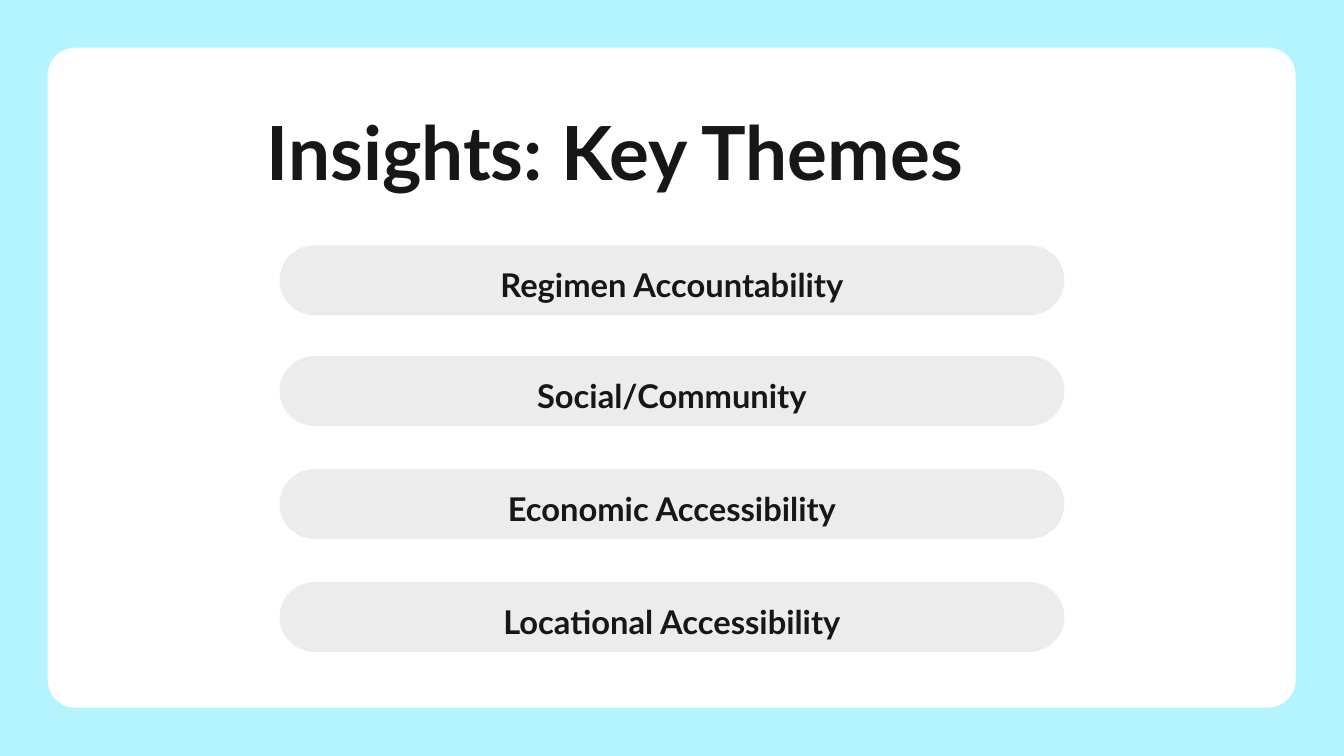
from dataclasses import dataclass

import pptx
import pptx.dml.color
import pptx.enum.shapes
import pptx.enum.text
import pptx.util

Inches = pptx.util.Inches
MSO_ANCHOR = pptx.enum.text.MSO_ANCHOR
PP_ALIGN = pptx.enum.text.PP_ALIGN

BACKGROUND, CARD, PILL, INK = "B3F4FF", "FFFFFF", "EDECED", "171717"
FONT = "Lato"


@dataclass
class Theme:
    label: str
    top: float


THEMES = [
    Theme("Regimen Accountability", 3.65),
    Theme("Social/Community", 5.3),
    Theme("Economic Accessibility", 6.98),
    Theme("Locational Accessibility", 8.66),
]


def set_fill(fill, color: str) -> None:
    fill.solid()
    fill.fore_color.rgb = pptx.dml.color.RGBColor.from_string(color)


def add_rounded(slide, left: float, top: float, width: float, height: float,
                radius: float, color: str):
    sp = slide.shapes.add_shape(
        pptx.enum.shapes.MSO_SHAPE.ROUNDED_RECTANGLE,
        Inches(left), Inches(top), Inches(width), Inches(height))
    sp.adjustments[0] = radius / min(width, height)
    sp.shadow.inherit = False
    sp.line.fill.background()
    set_fill(sp.fill, color)
    return sp


def write(sp, text: str, size: float, align, top_inset: float = 0) -> None:
    tf = sp.text_frame
    tf.word_wrap = True
    tf.auto_size = pptx.enum.text.MSO_AUTO_SIZE.NONE
    tf.vertical_anchor = MSO_ANCHOR.TOP
    tf.margin_left = tf.margin_right = tf.margin_bottom = 0
    tf.margin_top = Inches(top_inset)
    p = tf.paragraphs[0]
    p.text = text
    p.alignment = align
    p.font.name = FONT
    p.font.size = pptx.util.Pt(size)
    p.font.bold = True
    set_fill(p.font.fill, INK)


def add_theme(slide, theme: Theme) -> None:
    sp = add_rounded(slide, 4.16, theme.top, 11.68, 1.04, 0.52, PILL)
    write(sp, theme.label, 35, PP_ALIGN.CENTER, top_inset=0.14)


def main() -> None:
    prs = pptx.Presentation()
    prs.slide_width, prs.slide_height = Inches(20), Inches(11.25)
    slide = prs.slides.add_slide(prs.slide_layouts[5])
    set_fill(slide.background.fill, BACKGROUND)

    # White card, sent behind the title
    card = add_rounded(slide, 0.71, 0.71, 18.57, 9.82, 0.41, CARD)
    title = slide.shapes.title
    title.element.addprevious(card.element)

    # Title
    title.left, title.top = Inches(3.97), Inches(1.58)
    title.width, title.height = Inches(12.06), Inches(1.22)
    write(title, "Insights: Key Themes", 80, PP_ALIGN.LEFT)

    # Theme pills
    for theme in THEMES:
        add_theme(slide, theme)

    prs.save("out.pptx")


if __name__ == "__main__":
    main()
